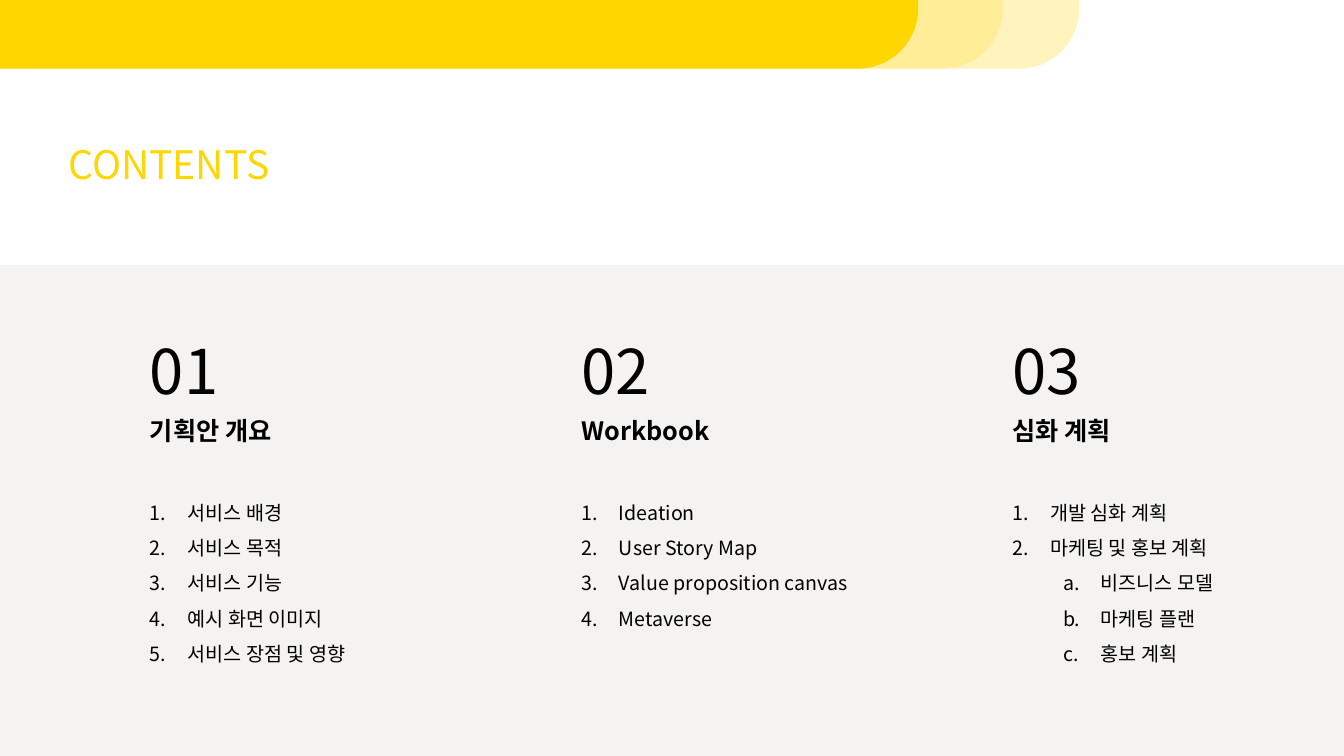
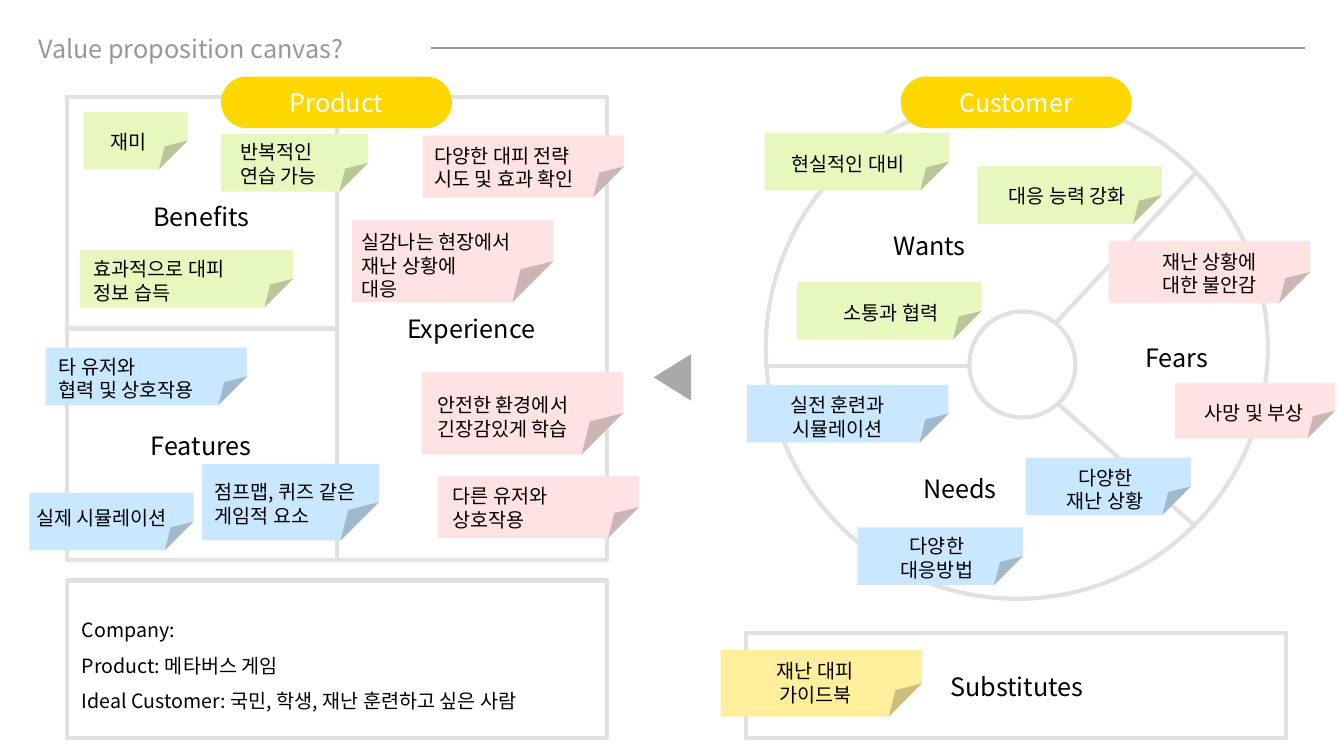
from dataclasses import dataclass

from lxml.etree import SubElement
from pptx import Presentation
from pptx.dml.color import RGBColor
from pptx.enum.shapes import MSO_CONNECTOR as Connector, MSO_SHAPE as Shape
from pptx.enum.text import MSO_ANCHOR as Anchor, PP_ALIGN as Align
from pptx.oxml.ns import qn
from pptx.util import Cm, Pt

FONT = "Noto Sans CJK KR"
BLACK = RGBColor(0x00, 0x00, 0x00)
WHITE = RGBColor(0xFF, 0xFF, 0xFF)
YELLOW = RGBColor(0xFF, 0xD7, 0x00)
YELLOW_MID = RGBColor(0xFF, 0xEE, 0x97)
YELLOW_PALE = RGBColor(0xFF, 0xF4, 0xBD)
PANEL = RGBColor(0xF4, 0xF3, 0xF2)
GRAY = RGBColor(0x97, 0x97, 0x97)
ARROW_GRAY = RGBColor(0xA9, 0xA9, 0xA9)
OUTLINE = RGBColor(0xE1, 0xE1, 0xE1)
NOTE_GREEN = RGBColor(0xE6, 0xF8, 0xBE)
NOTE_BLUE = RGBColor(0xC9, 0xE8, 0xFF)
NOTE_PINK = RGBColor(0xFF, 0xE3, 0xE3)
NOTE_YELLOW = RGBColor(0xFF, 0xEE, 0x9B)

PAGE_WIDTH, PAGE_HEIGHT = 33.87, 19.05
LABEL_SIZE = (4.65, 1.02)


@dataclass
class Box:
    """A region in centimetres."""
    left: float
    top: float
    width: float
    height: float

    def inner(self, left, top, width, height):
        return Box(self.left + left, self.top + top, width, height)

    def lengths(self):
        return [Cm(v) for v in (self.left, self.top, self.width, self.height)]


# Shared building blocks

def write(frame, lines, size=14, color=BLACK, bold=False, align=Align.LEFT,
          anchor=Anchor.TOP, spacing=None, numbered=False):
    """Fill a text frame; a line starting with a tab is one level deeper."""
    frame.word_wrap = True
    frame.vertical_anchor = anchor
    for index, line in enumerate(lines):
        para = frame.paragraphs[0] if index == 0 else frame.add_paragraph()
        para.alignment = align
        if spacing:
            para.line_spacing = spacing
        if numbered:
            number_paragraph(para, level=int(line.startswith("\t")))
        span = para.add_run()
        span.text = line.strip()
        span.font.size = Pt(size)
        span.font.bold = bold
        span.font.color.rgb = color
        span.font.name = FONT
        SubElement(span.font._element, qn("a:ea"), typeface=FONT)


def number_paragraph(para, level):
    para.level = level
    properties = para._p.get_or_add_pPr()
    properties.set("marL", str(Cm(0.95 + 1.27 * level)))
    properties.set("indent", str(-Cm(0.95)))
    style = ("arabicPeriod", "alphaLcPeriod")[level]
    SubElement(properties, qn("a:buFont"), typeface="+mj-lt")
    SubElement(properties, qn("a:buAutoNum"), type=style)


def add_text(page, box, *lines, **style):
    write(page.shapes.add_textbox(*box.lengths()).text_frame, lines, **style)


def add_title(page, box, text, **style):
    title = page.shapes.title
    title.left, title.top, title.width, title.height = box.lengths()
    write(title.text_frame, [text], **style)


def set_adjustments(figure, **guides):
    """Write the preset's guides, as some presets expose no adjustments."""
    geometry = figure._element.spPr.find(qn("a:prstGeom"))
    guide_list = geometry.find(qn("a:avLst"))
    if guide_list is None:
        guide_list = SubElement(geometry, qn("a:avLst"))
    for guide in list(guide_list):
        guide_list.remove(guide)
    for name, value in guides.items():
        SubElement(guide_list, qn("a:gd"), name=name,
                   fmla=f"val {round(value * 100000)}")


def add_figure(page, kind, box, fill=None, line=None, **guides):
    figure = page.shapes.add_shape(kind, *box.lengths())
    figure.shadow.inherit = False
    if guides:
        set_adjustments(figure, **guides)
    if fill is None:
        figure.fill.background()
    else:
        figure.fill.solid()
        figure.fill.fore_color.rgb = fill
    if line is None:
        figure.line.fill.background()
    else:
        figure.line.color.rgb = line
        figure.line.width = Pt(3)
    return figure


def add_rule(page, start, end, color=OUTLINE, width=3):
    points = [Cm(v) for v in (*start, *end)]
    rule = page.shapes.add_connector(Connector.STRAIGHT, *points)
    rule.line.color.rgb = color
    rule.line.width = Pt(width)
    SubElement(rule._element.spPr, qn("a:effectLst"))
    return rule


def new_page(deck):
    return deck.slides.add_slide(deck.slide_layouts[5])


# Contents slide

def add_header_bands(page):
    for left, fill in ((0.71, YELLOW_PALE), (-1.22, YELLOW_MID), (-3.35, YELLOW)):
        add_figure(page, Shape.ROUND_2_DIAG_RECTANGLE,
                   Box(left, -1.3, 26.49, 3.03), fill, adj1=0.5, adj2=0)


def add_chapter(page, box, number, heading, topics):
    add_text(page, box.inner(0, 0, 3.05, 2.13), number, size=44)
    add_text(page, box.inner(0, 2.08, 4.65, 1.02), heading, size=18, bold=True)
    add_text(page, box.inner(0, 3.94, box.width, 4.67), *topics,
             spacing=1.5, numbered=True)


def build_contents(deck):
    page = new_page(deck)
    add_header_bands(page)
    panel = Box(0, 6.68, PAGE_WIDTH, PAGE_HEIGHT - 6.68)
    add_figure(page, Shape.RECTANGLE, panel, PANEL)
    add_title(page, Box(1.47, 3.4, 7.8, 1.45), "CONTENTS", size=28, color=YELLOW)
    chapters = (
        ("기획안 개요", ("서비스 배경", "서비스 목적", "서비스 기능",
                    "예시 화면 이미지", "서비스 장점 및 영향")),
        ("Workbook", ("Ideation", "User Story Map",
                      "Value proposition canvas", "Metaverse")),
        ("심화 계획", ("개발 심화 계획", "마케팅 및 홍보 계획",
                   "\t비즈니스 모델", "\t마케팅 플랜", "\t홍보 계획")),
    )
    for index, (heading, topics) in enumerate(chapters):
        add_chapter(page, panel.inner(3.53 + 10.87 * index, 1.58, 8.5, 8.6),
                    f"{index + 1:02}", heading, topics)


# Value proposition slide

def add_pill(page, box, text):
    pill = add_figure(page, Shape.ROUNDED_RECTANGLE, box, YELLOW, adj=0.5)
    write(pill.text_frame, [text], size=18, color=WHITE,
          align=Align.CENTER, anchor=Anchor.MIDDLE)


def add_labels(page, board, labels):
    for text, left, top in labels:
        add_text(page, board.inner(left, top, *LABEL_SIZE), text,
                 size=18, align=Align.CENTER)


def add_notes(page, board, notes, align):
    """Each note: fill, place in the board, place of its text, lines."""
    for fill, place, (left, top, width), lines in notes:
        note = board.inner(*place)
        add_figure(page, Shape.FOLDED_CORNER, note, fill, adj=0.5)
        add_text(page, note.inner(left, top, width, 0.86 + 0.6 * (len(lines) - 1)),
                 *lines, align=align)


def add_product_board(page, board):
    frame = add_figure(page, Shape.RECTANGLE, board, line=OUTLINE)
    middle_x = board.left + board.width / 2
    middle_y = board.top + board.height / 2
    divider = add_rule(page, (middle_x, board.top),
                       (middle_x, board.top + board.height))
    divider.begin_connect(frame, 0)
    divider.end_connect(frame, 2)
    shelf = add_rule(page, (board.left, middle_y), (middle_x, middle_y))
    shelf.begin_connect(frame, 1)
    add_pill(page, board.inner(3.89, -0.51, 5.82, 1.3), "Product")
    add_labels(page, board, (("Benefits", 1.07, 2.51), ("Features", 1.07, 8.28),
                             ("Experience", 7.87, 5.33)))
    add_notes(page, board, (
        (NOTE_GREEN, (0.43, 0.38, 2.62, 1.45), (0.43, 0.33, 1.63), ["재미"]),
        (NOTE_GREEN, (0.33, 3.86, 5.38, 1.45), (0.1, 0.05, 4.75),
         ["효과적으로 대피 정보 습득"]),
        (NOTE_GREEN, (3.89, 0.94, 3.71, 1.45), (0.23, 0.03, 3.25),
         ["반복적인", "연습 가능"]),
        (NOTE_BLUE, (-0.53, 6.32, 5.08, 1.45), (0.08, 0.05, 4.32),
         ["타 유저와", "협력 및 상호작용"]),
        (NOTE_BLUE, (-0.94, 9.98, 4.14, 1.45), (-0.08, 0.2, 4.32),
         ["실제 시뮬레이션"]),
        (NOTE_BLUE, (3.4, 9.25, 4.47, 1.93), (0.08, 0.28, 4.32),
         ["점프맵, 퀴즈 같은", "게임적 요소"]),
        (NOTE_PINK, (8.97, 0.97, 5.08, 1.57), (0.05, 0.08, 4.75),
         ["다양한 대피 전략", "시도 및 효과 확인"]),
        (NOTE_PINK, (7.19, 3.1, 5.08, 2.08), (0, 0.13, 4.75),
         ["실감나는 현장에서", "재난 상황에", "대응"]),
        (NOTE_PINK, (8.94, 6.93, 5.08, 2.08), (0.15, 0.41, 4.75),
         ["안전한 환경에서", "긴장감있게 학습"]),
        (NOTE_PINK, (9.35, 9.55, 5.08, 1.57), (0.13, 0.08, 4.75),
         ["다른 유저와", "상호작용"]),
    ), Align.LEFT)


def add_customer_board(page, board):
    add_figure(page, Shape.OVAL, board, line=OUTLINE)
    center = (board.left + 6.3, board.top + 6.78)
    for x, y in ((0, 6.78), (10.82, 1.93), (10.8, 10.8)):
        add_rule(page, center, (board.left + x, board.top + y))
    add_figure(page, Shape.OVAL, board.inner(5.13, 5.41, 2.67, 2.67), WHITE, OUTLINE)
    add_pill(page, board.inner(3.4, -0.51, 5.82, 1.3), "Customer")
    add_labels(page, board, (("Wants", 1.8, 3.25), ("Fears", 8.03, 6.07),
                             ("Needs", 2.57, 9.35)))
    add_notes(page, board, (
        (NOTE_GREEN, (-0.03, 0.91, 4.65, 1.45), (0.25, 0.36, 3.71), ["현실적인 대비"]),
        (NOTE_GREEN, (5.33, 1.75, 4.65, 1.45), (0.41, 0.33, 3.71), ["대응 능력 강화"]),
        (NOTE_GREEN, (0.79, 4.67, 4.65, 1.45), (0.51, 0.36, 3.71), ["소통과 협력"]),
        (NOTE_BLUE, (-0.48, 7.26, 5.08, 1.45), (0.43, 0.08, 3.71),
         ["실전 훈련과", "시뮬레이션"]),
        (NOTE_BLUE, (6.55, 9.09, 4.17, 1.45), (0.15, 0.08, 3.71),
         ["다양한", "재난 상황"]),
        (NOTE_BLUE, (2.31, 10.85, 4.17, 1.45), (0.15, 0.05, 3.71),
         ["다양한", "대응방법"]),
        (NOTE_PINK, (8.64, 3.63, 5.08, 1.57), (0.69, 0.1, 3.71),
         ["재난 상황에", "대한 불안감"]),
        (NOTE_PINK, (10.31, 7.21, 4.04, 1.4), (0.15, 0.33, 3.71), ["사망 및 부상"]),
    ), Align.CENTER)


def add_company_box(page, box):
    add_figure(page, Shape.RECTANGLE, box, line=OUTLINE)
    add_text(page, box.inner(0.13, 0.53, 13.16, 2.87), "Company:",
             "Product: 메타버스 게임",
             "Ideal Customer: 국민, 학생, 재난 훈련하고 싶은 사람", spacing=1.5)


def add_substitutes_box(page, box):
    add_figure(page, Shape.RECTANGLE, box, line=OUTLINE)
    add_labels(page, box, [("Substitutes", 4.5, 0.84)])
    add_notes(page, box, [(NOTE_YELLOW, (-0.64, 0.43, 5.08, 1.68),
                           (0.53, 0.1, 3.71), ["재난 대피", "가이드북"])],
              Align.CENTER)


def build_canvas(deck):
    page = new_page(deck)
    add_title(page, Box(0.71, 0.71, 10.16, 1.02), "Value proposition canvas?",
              size=18, color=GRAY)
    add_rule(page, (10.87, 1.22), (32.89, 1.22), GRAY, 1.5)
    add_product_board(page, Box(1.68, 2.44, 13.61, 11.68))
    add_company_box(page, Box(1.68, 14.63, 13.61, 3.96))
    arrow = add_figure(page, Shape.ISOSCELES_TRIANGLE,
                       Box(16.36, 9.04, 1.17, 0.94), ARROW_GRAY)
    arrow.rotation = 270
    add_customer_board(page, Box(19.3, 2.44, 12.65, 12.65))
    add_substitutes_box(page, Box(18.8, 15.95, 13.61, 2.64))


def main():
    deck = Presentation()
    deck.slide_width, deck.slide_height = Cm(PAGE_WIDTH), Cm(PAGE_HEIGHT)
    build_contents(deck)
    build_canvas(deck)
    deck.save("out.pptx")


if __name__ == "__main__":
    main()
